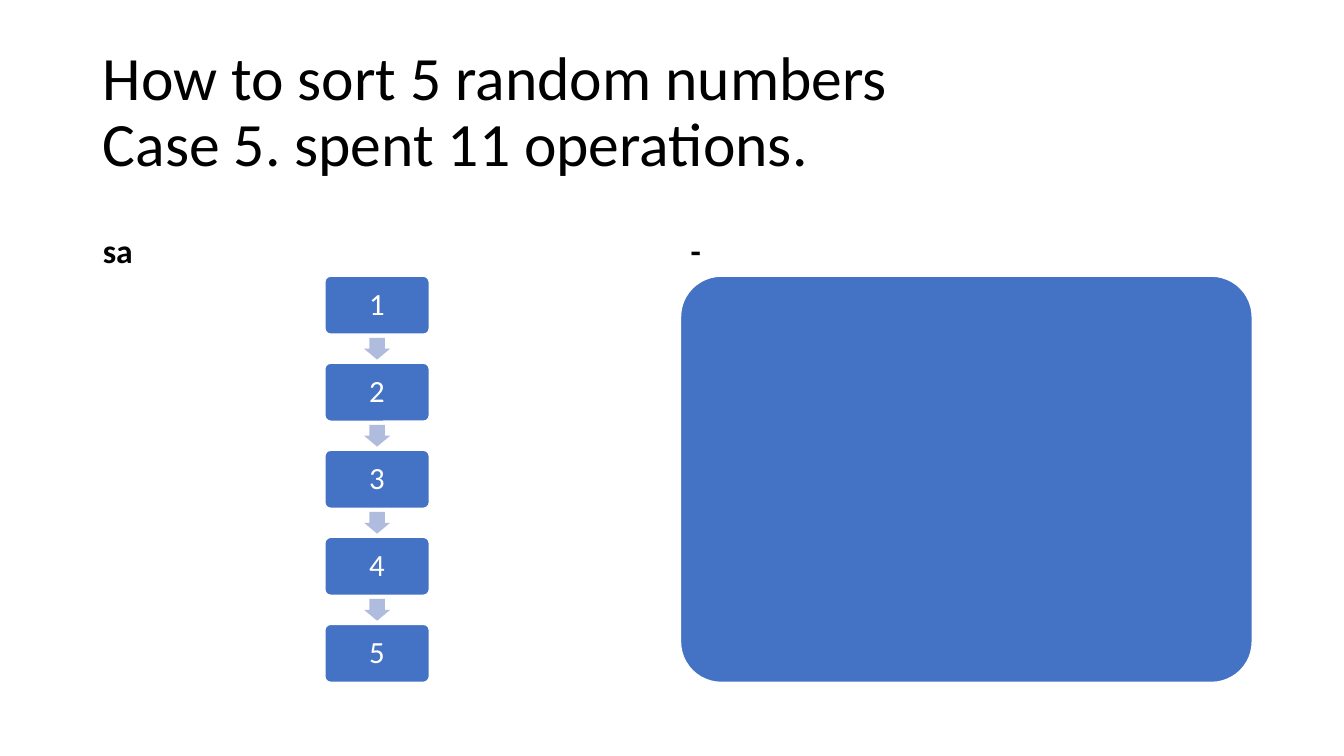
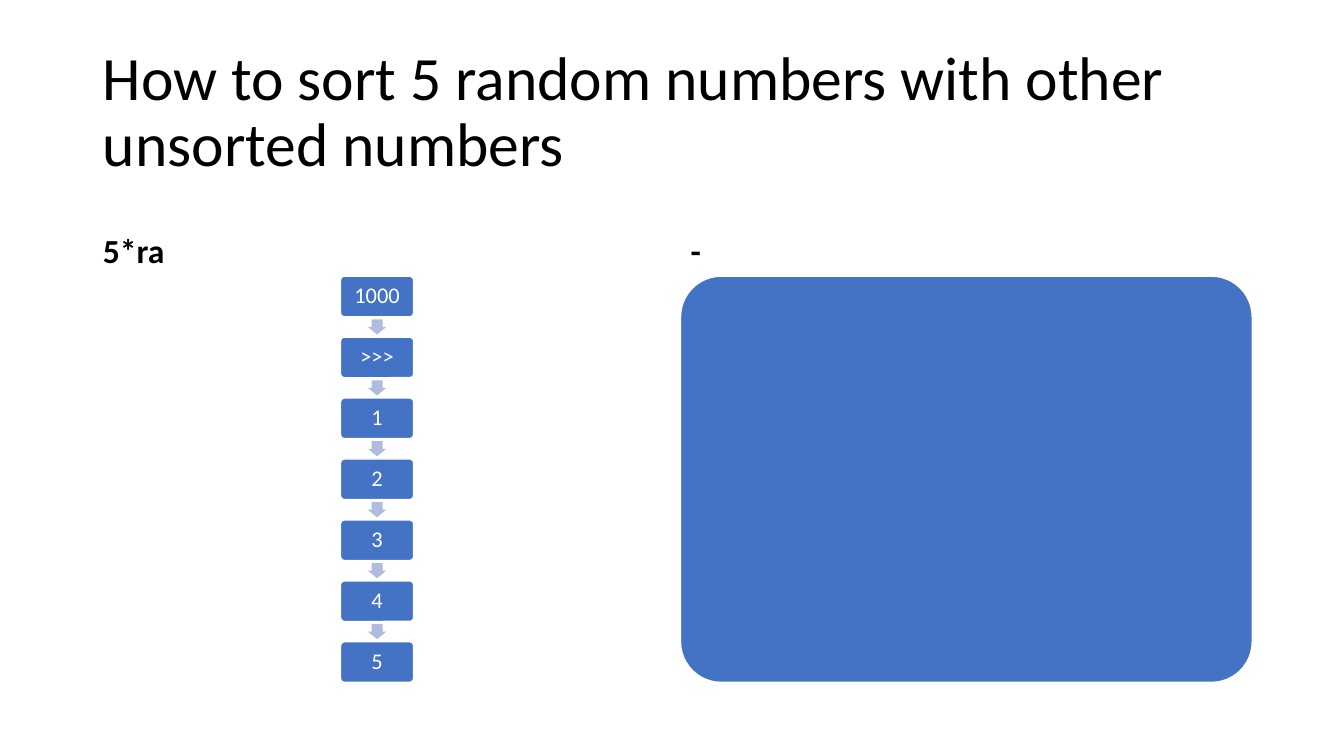
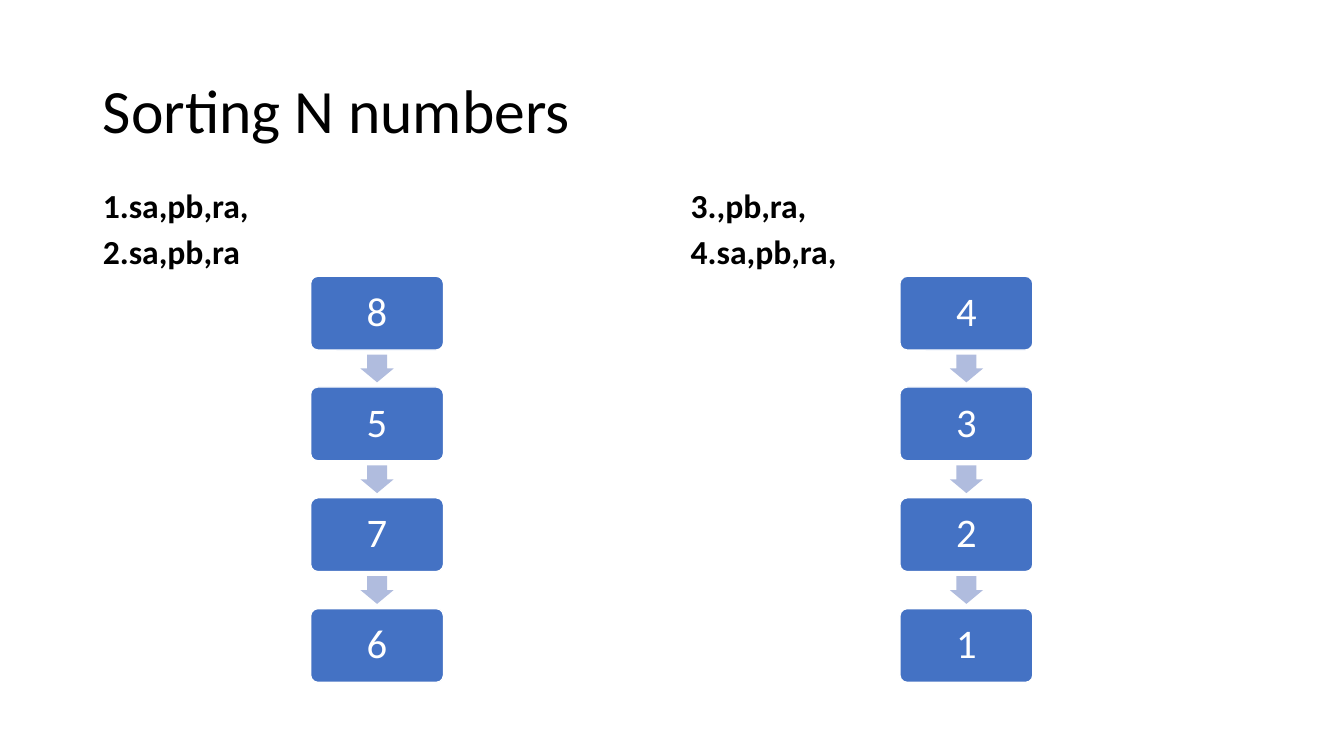
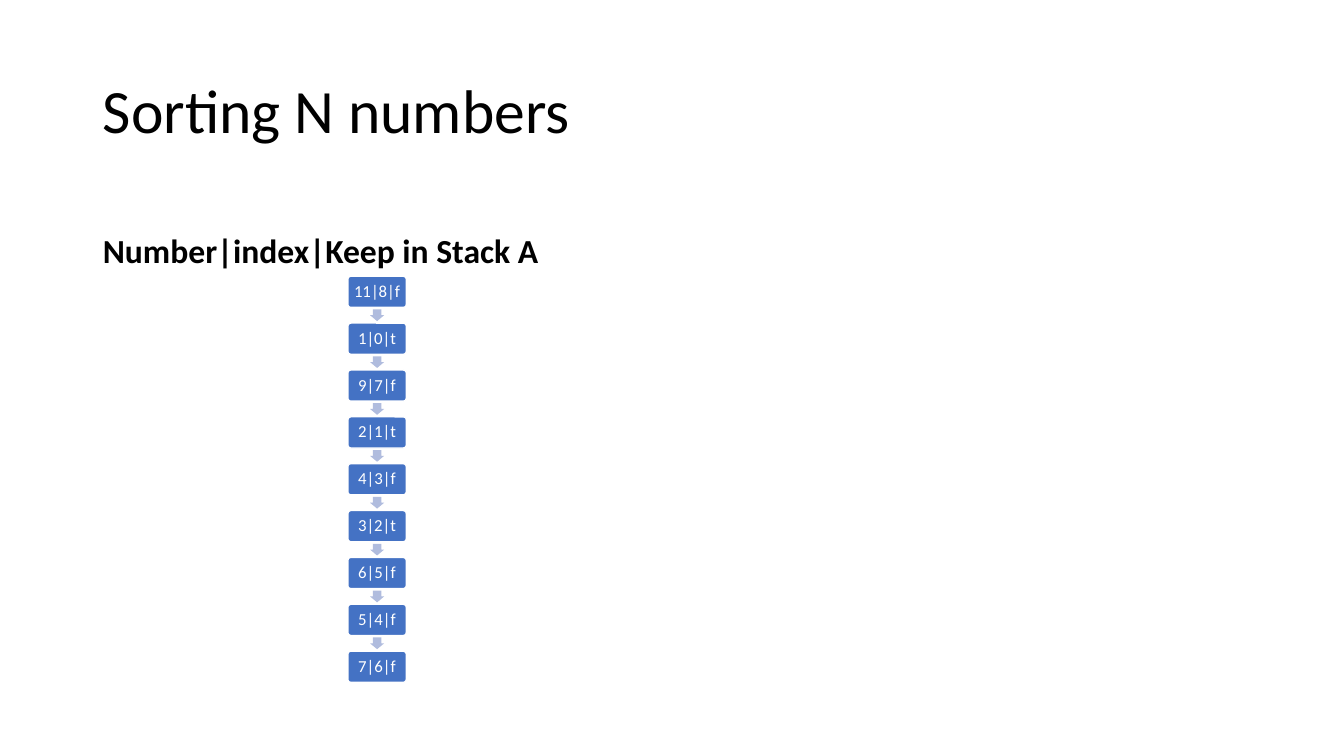
"""Builds four slides on sorting numbers with stacks."""
from pptx import Presentation
from pptx.dml.color import RGBColor
from pptx.enum import shapes, text
from pptx.util import Inches, Pt

BLUE, PALE, WHITE, BLACK = "4472C4", "B0BCDE", "FFFFFF", "000000"
FONT = "Calibri"
TITLE = (0.92, 0.4, 11.5, 1.45)
HEADS = ((0.92, 1.84, 5.64, 0.9), (6.75, 1.84, 5.67, 0.9))
BODIES = ((0.92, 2.74, 5.64, 4.03), (6.75, 2.74, 5.67, 4.03))
PANEL = "panel"

SLIDES = (
    ("How to sort 5 random numbers\vCase 5. spent 11 operations.", 22, 0.9,
     (("sa", "1 2 3 4 5"), ("-", PANEL))),
    ("How to sort 5 random numbers with other unsorted numbers", 16, 0.9,
     (("5*ra", "1000 >>> 1 2 3 4 5"), ("-", PANEL))),
    ("Sorting N numbers", 29, 0.8,
     (("1.sa,pb,ra,\n2.sa,pb,ra", "8 5 7 6"),
      ("3.,pb,ra,\n4.sa,pb,ra,", "4 3 2 1"))),
    ("Sorting N numbers", 12, 0.9,
     (("Number|index|Keep in Stack A",
       "11|8|f 1|0|t 9|7|f 2|1|t 4|3|f 3|2|t 6|5|f 5|4|f 7|6|f"),)),
)


def paint(fmt, color):
    """Set a solid colour on a fill."""
    fmt.solid()
    fmt.fore_color.rgb = RGBColor.from_string(color)


def style(par, size, color, bold=False):
    """Set the font of one paragraph."""
    par.font.name = FONT
    par.font.size = Pt(size)
    par.font.bold = bold
    paint(par.font.fill, color)


def write(holder, box, words, size, anchor, gap, bold=False, before=0):
    """Move a placeholder into its box and fill it with styled text."""
    holder.left, holder.top, holder.width, holder.height = map(Inches, box)
    frame = holder.text_frame
    frame.text = words
    frame.word_wrap = True
    frame.auto_size = text.MSO_AUTO_SIZE.NONE
    frame.vertical_anchor = anchor
    for par in frame.paragraphs:
        par.alignment = text.PP_ALIGN.LEFT
        par.line_spacing = gap
        par.space_before = Pt(before)
        style(par, size, BLACK, bold)


def draw(slide, kind, box, color, *adjust):
    """Add a flat preset shape."""
    shape = slide.shapes.add_shape(kind, *map(Inches, box))
    shape.shadow.inherit = False
    paint(shape.fill, color)
    shape.line.fill.background()
    for i, value in enumerate(adjust):
        shape.adjustments[i] = value
    return shape


def card(slide, box):
    """Add a blue rounded box with a white edge."""
    shape = draw(slide, shapes.MSO_SHAPE.ROUNDED_RECTANGLE, box, BLUE, 0.1)
    paint(shape.line.fill, WHITE)
    shape.line.width = Pt(1)
    return shape


def stack(slide, box, items, size):
    """Fill the box height with centred cards joined by arrows."""
    left, top, width, height = box
    mid = left + width / 2
    tall = height / (1.5 * len(items) - 0.5)
    wide = max(1.8 * tall, 0.58)
    long, thick = 0.375 * tall, 0.45 * tall
    for i, item in enumerate(items):
        y = top + 1.5 * tall * i
        if i:
            place = (mid - long / 2, y - tall / 4 - thick / 2, long, thick)
            arrow = draw(slide, shapes.MSO_SHAPE.RIGHT_ARROW, place, PALE, 0.6, 0.5)
            arrow.rotation = 90
        frame = card(slide, (mid - wide / 2, y, wide, tall)).text_frame
        frame.text = item
        frame.word_wrap = False
        frame.vertical_anchor = text.MSO_ANCHOR.MIDDLE
        frame.margin_left = frame.margin_right = Inches(0.05)
        frame.margin_top = frame.margin_bottom = Inches(0.05)
        par = frame.paragraphs[0]
        par.alignment = text.PP_ALIGN.CENTER
        par.line_spacing = 0.9
        style(par, size, WHITE)


def compare(deck, title, size, gap, sides):
    """Add a slide with a title and one or two headed columns."""
    slide = deck.slides.add_slide(deck.slide_layouts[4])
    write(slide.shapes.title, TITLE, title, 44, text.MSO_ANCHOR.MIDDLE, 0.9)
    heads = (slide.placeholders[1], slide.placeholders[3])
    for holder, place, box, (head, items) in zip(heads, HEADS, BODIES, sides):
        write(holder, place, head, 24, text.MSO_ANCHOR.BOTTOM, gap, True, 10)
        if items == PANEL:
            card(slide, box)
        else:
            stack(slide, box, items.split(), size)
    for holder in list(slide.placeholders):
        if not holder.text_frame.text:
            holder.element.getparent().remove(holder.element)


def main():
    """Build and save the deck."""
    deck = Presentation()
    deck.slide_width, deck.slide_height = Inches(13.33), Inches(7.5)
    for row in SLIDES:
        compare(deck, *row)
    deck.save("out.pptx")


if __name__ == "__main__":
    main()
